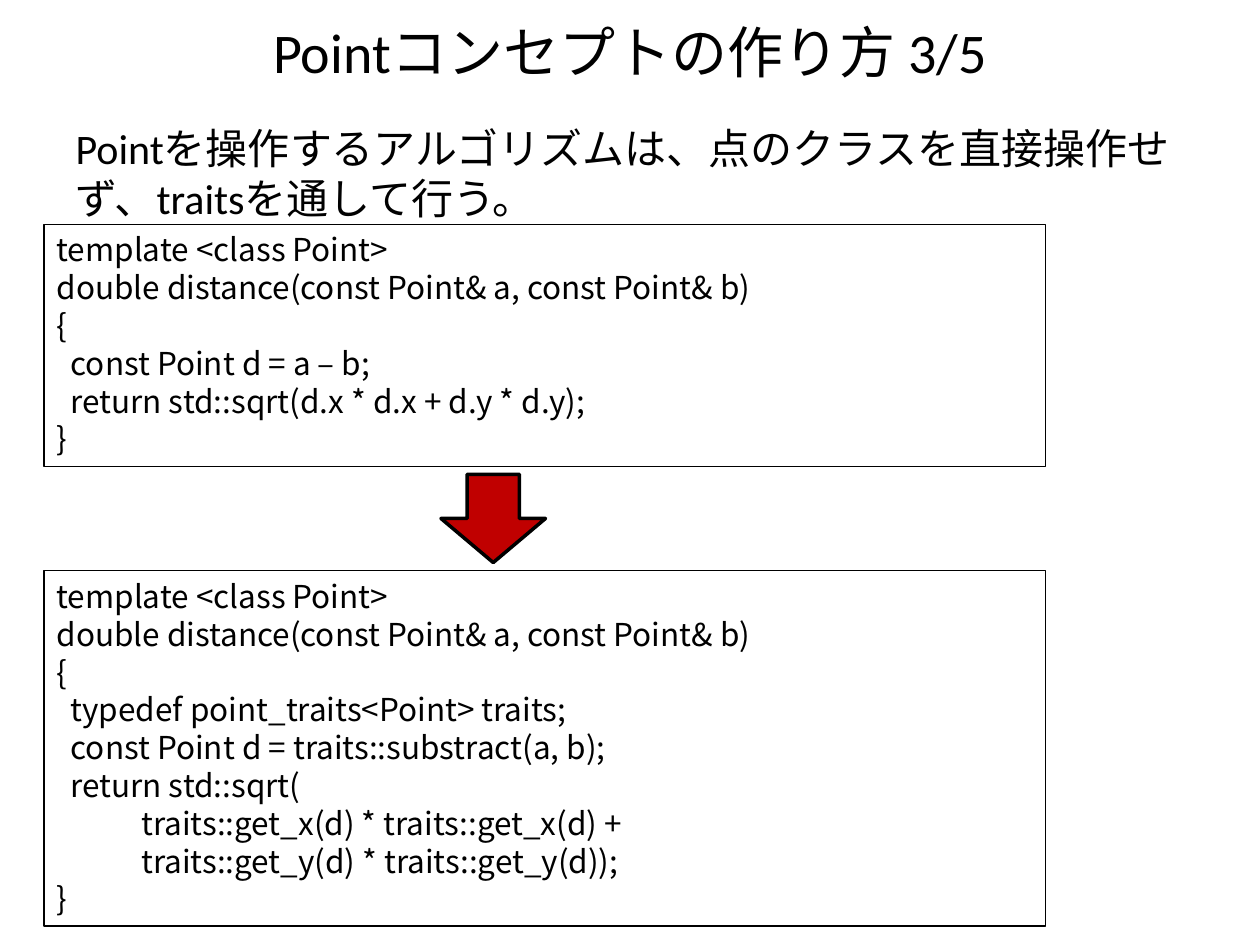
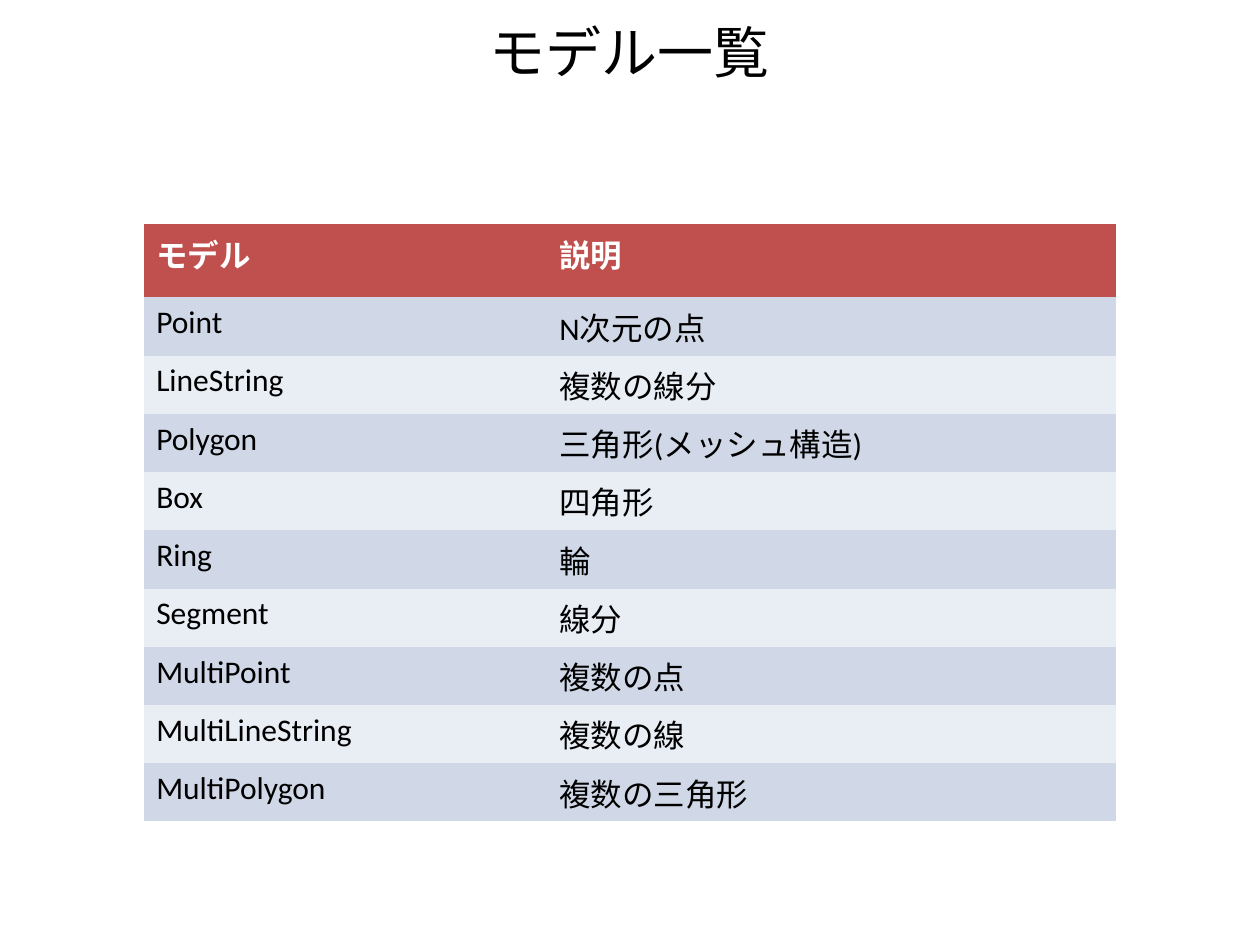
"""Build two slides on the Point concept and the list of geometry models."""
from lxml import etree
from pptx import Presentation
from pptx.dml.color import RGBColor
from pptx.enum.shapes import MSO_SHAPE
from pptx.enum.text import MSO_ANCHOR, MSO_AUTO_SIZE, PP_ALIGN
from pptx.oxml.ns import qn
from pptx.util import Inches, Pt

RECTANGLE, DOWN_ARROW = MSO_SHAPE.RECTANGLE, MSO_SHAPE.DOWN_ARROW
TOP, MIDDLE = MSO_ANCHOR.TOP, MSO_ANCHOR.MIDDLE
LEFT, CENTER = PP_ALIGN.LEFT, PP_ALIGN.CENTER
NO_AUTOFIT = MSO_AUTO_SIZE.NONE

CONCEPT_TITLE = "Pointコンセプトの作り方 3/5"
CONCEPT_TEXT = "Pointを操作するアルゴリズムは、点のクラスを直接操作せず、traitsを通して行う。"
DIRECT_CODE = """template <class Point>
double distance(const Point& a, const Point& b)
{
  const Point d = a – b;
  return std::sqrt(d.x * d.x + d.y * d.y);
}"""
TRAITS_CODE = """template <class Point>
double distance(const Point& a, const Point& b)
{
  typedef point_traits<Point> traits;
  const Point d = traits::substract(a, b);
  return std::sqrt(
            traits::get_x(d) * traits::get_x(d) +
            traits::get_y(d) * traits::get_y(d));
}"""
MODELS_TITLE = "モデル一覧"
MODELS = [
    ("モデル", "説明"),
    ("Point", "N次元の点"),
    ("LineString", "複数の線分"),
    ("Polygon", "三角形(メッシュ構造)"),
    ("Box", "四角形"),
    ("Ring", "輪"),
    ("Segment", "線分"),
    ("MultiPoint", "複数の点"),
    ("MultiLineString", "複数の線"),
    ("MultiPolygon", "複数の三角形"),
]

COLORS = {"text": "000000", "header_text": "FFFFFF", "arrow": "C00000",
          "header": "C0504D", "odd_row": "D0D8E8", "even_row": "E9EDF4"}
TEXT_FONT, CODE_FONT = "Calibri", "Noto Sans CJK JP"
PLAIN_TABLE_STYLE = "{2D5ABB26-0587-4C30-8999-92F81FD0307C}"

WIDTH, HEIGHT = 10, 7.5
MARGIN = 0.5
CONTENT_TOP = 1.78
CODE_LEFT, CODE_WIDTH = 0.35, 7.95
TRAITS_TOP = 4.53
CODE_PITCH, CODE_PADDING = 0.3, 0.12
ARROW_LEFT, ARROW_WIDTH, ARROW_HEIGHT = 3.5, 0.83, 0.7
COLUMN_WIDTHS = (3.2, 4.52)
HEADER_HEIGHT, ROW_HEIGHT = 0.58, 0.46


def color(name):
    return RGBColor.from_string(COLORS[name])


def place(shape, left, top, width, height):
    shape.left, shape.top = Inches(left), Inches(top)
    shape.width, shape.height = Inches(width), Inches(height)


def style(paragraph, size, font=TEXT_FONT, ink="text", bold=False):
    paragraph.font.size = Pt(size)
    paragraph.font.name = font
    paragraph.font.bold = bold
    paragraph.font.color.rgb = color(ink)


def fill_placeholder(placeholder, text, top, height, size):
    place(placeholder, MARGIN, top, WIDTH - 2 * MARGIN, height)
    frame = placeholder.text_frame
    frame.text = text
    frame.auto_size = NO_AUTOFIT
    return frame.paragraphs[0], size


def add_titled_slide(presentation, layout, title):
    slide = presentation.slides.add_slide(presentation.slide_layouts[layout])
    paragraph, size = fill_placeholder(slide.shapes.title, title, 0.05, 0.71, 32)
    slide.shapes.title.text_frame.vertical_anchor = MIDDLE
    paragraph.alignment = CENTER
    style(paragraph, size)
    return slide


def add_body(slide, text):
    paragraph, size = fill_placeholder(slide.placeholders[1], text, 0.92, 0.94, 24)
    properties = paragraph._p.get_or_add_pPr()
    properties.set("marL", "0")
    properties.set("indent", "0")
    etree.SubElement(properties, qn("a:buNone"))
    paragraph.space_before = Pt(0)
    style(paragraph, size)


def add_outlined(slide, kind, left, top, width, height, line_width):
    shape = slide.shapes.add_shape(
        kind, Inches(left), Inches(top), Inches(width), Inches(height))
    shape.shadow.inherit = False
    shape.line.color.rgb = color("text")
    shape.line.width = Pt(line_width)
    return shape


def add_code(slide, code, top):
    lines = code.split("\n")
    height = len(lines) * CODE_PITCH + CODE_PADDING
    box = add_outlined(slide, RECTANGLE, CODE_LEFT, top, CODE_WIDTH, height, 0.75)
    box.fill.background()
    frame = box.text_frame
    frame.word_wrap = True
    frame.vertical_anchor = TOP
    frame.text = code
    for paragraph in frame.paragraphs:
        paragraph.alignment = LEFT
        paragraph.line_spacing = Pt(CODE_PITCH * 72)
        style(paragraph, 18, CODE_FONT)
    return top + height


def add_concept_slide(presentation):
    slide = add_titled_slide(presentation, 1, CONCEPT_TITLE)
    add_body(slide, CONCEPT_TEXT)
    direct_bottom = add_code(slide, DIRECT_CODE, CONTENT_TOP)
    add_code(slide, TRAITS_CODE, TRAITS_TOP)
    arrow_top = (direct_bottom + TRAITS_TOP - ARROW_HEIGHT) / 2
    arrow = add_outlined(slide, DOWN_ARROW, ARROW_LEFT, arrow_top,
                         ARROW_WIDTH, ARROW_HEIGHT, 2)
    arrow.fill.solid()
    arrow.fill.fore_color.rgb = color("arrow")


def add_models_slide(presentation):
    slide = add_titled_slide(presentation, 5, MODELS_TITLE)
    width = sum(COLUMN_WIDTHS)
    height = HEADER_HEIGHT + ROW_HEIGHT * (len(MODELS) - 1)
    table = slide.shapes.add_table(
        len(MODELS), len(COLUMN_WIDTHS), Inches((WIDTH - width) / 2),
        Inches(CONTENT_TOP), Inches(width), Inches(height)).table
    table._tbl.tblPr.find(qn("a:tableStyleId")).text = PLAIN_TABLE_STYLE
    for column, column_width in zip(table.columns, COLUMN_WIDTHS):
        column.width = Inches(column_width)
    for index, (row, texts) in enumerate(zip(table.rows, MODELS)):
        is_header = index == 0
        row.height = Inches(HEADER_HEIGHT if is_header else ROW_HEIGHT)
        band = "header" if is_header else "odd_row" if index % 2 else "even_row"
        for cell, text in zip(row.cells, texts):
            cell.text = text
            cell.fill.solid()
            cell.fill.fore_color.rgb = color(band)
            style(cell.text_frame.paragraphs[0], 18,
                  ink="header_text" if is_header else "text", bold=is_header)


def main():
    presentation = Presentation()
    presentation.slide_width, presentation.slide_height = Inches(WIDTH), Inches(HEIGHT)
    add_concept_slide(presentation)
    add_models_slide(presentation)
    presentation.save("out.pptx")


if __name__ == "__main__":
    main()
